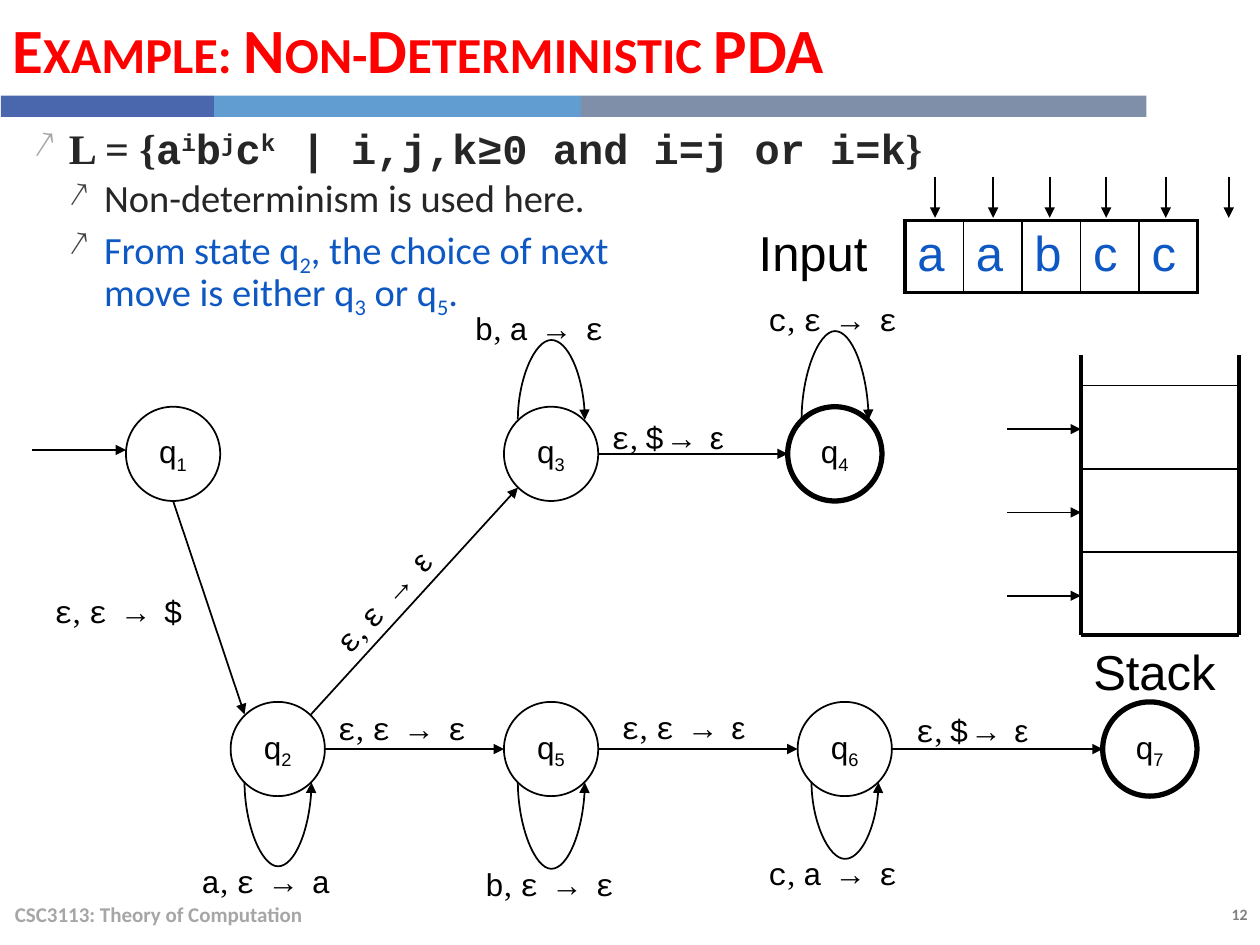
from dataclasses import dataclass
from typing import NamedTuple

from lxml import etree
from pptx import Presentation, util as u
from pptx.dml.color import RGBColor
from pptx.enum import shapes, text
from pptx.oxml import ns


@dataclass(frozen=True)
class Theme:
    sans: str = "Calibri"
    plain: str = "Arial"
    mono: str = "Courier New"
    serif: str = "Times New Roman"
    ink: str = "000000"
    body: str = "262626"
    sub_bullet: str = "404040"
    accent: str = "0E58C4"
    title: str = "FF0000"
    footer: str = "A6A6A6"
    number: str = "808080"
    bars: tuple = ("4A66AC", "629DD1", "7F8FA9")
    title_size: int = 36
    big_size: int = 28
    formula_size: int = 24
    point_size: int = 22
    label_size: int = 18
    footer_size: int = 12
    number_size: int = 9
    thin: float = 1
    thick: float = 2.25
    final: float = 3


THEME = Theme()
DIAMETER = 1.9
LOOP_SPAN = 1.35
LOOP_BASE = 0.01


class Span(NamedTuple):
    text: str
    font: str = THEME.sans
    base: int = 0


class State(NamedTuple):
    left: float
    top: float
    loop: float = 0
    final: bool = False


class Label(NamedTuple):
    left: float
    top: float
    read: str
    pop: str
    push: str
    push_font: str = THEME.mono
    turn: float = 0


class Point(NamedTuple):
    spans: list
    size: int
    color: str
    bullet: str
    level: int = 1
    bold: bool = False


UPPER, LOWER = 8.2, 14.15
STATES = {
    "1": State(2.54, UPPER),
    "2": State(4.65, LOWER, 1.7),
    "3": State(10.16, UPPER, -1.6),
    "4": State(15.88, UPPER, -1.78, True),
    "5": State(10.16, LOWER, 1.75),
    "6": State(16.08, LOWER, 1.55),
    "7": State(22.23, LOWER, final=True),
}
LABELS = [
    Label(0.84, 11.81, "ε", "ε", "$", THEME.plain),
    Label(6.12, 11.4, "ε", "ε", "ε", THEME.plain, 312.6),
    Label(6.55, 14.17, "ε", "ε", "ε"),
    Label(12.27, 14.15, "ε", "ε", "ε", THEME.plain),
    Label(18.21, 14.2, "ε", "$", "ε", THEME.plain),
    Label(12.07, 8.31, "ε", "$", "ε", THEME.plain),
    Label(3.81, 17.25, "a", "ε", "a"),
    Label(9.53, 17.32, "b", "ε", "ε"),
    Label(15.24, 17.09, "c", "a", "ε"),
    Label(9.32, 6.1, "b", "a", "ε"),
    Label(15.24, 5.92, "c", "ε", "ε"),
]
FORMULA = [Span("L = {", THEME.serif)]
for letter, power in zip("abc", "ijk"):
    FORMULA += [Span(letter, THEME.mono), Span(power, THEME.mono, 30)]
FORMULA += [Span(" | i,j,k≥0 and i=j or i=k", THEME.mono), Span("}", THEME.serif)]
CHOICE = [
    Span("From state q"), Span("2", base=-25), Span(", the choice of next"), Span("\n"),
    Span("move is either q"), Span("3", base=-25), Span(" or q"), Span("5", base=-25), Span("."),
]
POINTS = [
    Point(FORMULA, THEME.formula_size, THEME.body, THEME.footer, 0, True),
    Point([Span("Non-determinism is used here.")], THEME.point_size, THEME.body, THEME.sub_bullet),
    Point(CHOICE, THEME.point_size, THEME.accent, THEME.sub_bullet),
]


def add_child(parent, tag: str, **attributes):
    return etree.SubElement(parent, ns.qn(tag), attributes)


def write(para, spans: list, size: float, color: str, bold: bool = False) -> None:
    for item in spans:
        if item.text == "\n":
            para.add_line_break()
            continue
        span = para.add_run()
        span.text = item.text
        span.font.name, span.font.size, span.font.bold = item.font, u.Pt(size), bold
        span.font.color.rgb = RGBColor.from_string(color)
        if item.base:
            span._r.get_or_add_rPr().set("baseline", str(item.base * 1000))


def add_text(page, place: tuple, spans: list, size: float, color: str, bold: bool = False,
             middle: bool = False, grow: bool = False):
    box = page.shapes.add_textbox(*map(u.Cm, place))
    frame = box.text_frame
    frame.word_wrap = True
    if middle:
        frame.vertical_anchor = text.MSO_ANCHOR.MIDDLE
    if grow:
        frame.auto_size = text.MSO_AUTO_SIZE.SHAPE_TO_FIT_TEXT
    write(frame.paragraphs[0], spans, size, color, bold)
    return box


def add_line(page, start: tuple, end: tuple, arrow: bool = True, width: float = THEME.thin,
             kind=shapes.MSO_CONNECTOR.STRAIGHT):
    line = page.shapes.add_connector(kind, *map(u.Cm, (*start, *end)))
    line.line.color.rgb = RGBColor.from_string(THEME.ink)
    line.line.width = u.Pt(width)
    if arrow:
        add_child(line.line._get_or_add_ln(), "a:tailEnd", type="triangle")
    add_child(line._element.spPr, "a:effectLst")
    return line


def add_loop(page, state: State) -> None:
    above = state.loop < 0
    x = state.left + DIAMETER / 2
    y = state.top + (0.26 if above else DIAMETER - 0.28)
    upper, lower = y - LOOP_SPAN / 2, y + LOOP_SPAN / 2
    start, end = ((x, lower), (x + LOOP_BASE, upper)) if above else ((x + LOOP_BASE, upper), (x, lower))
    loop = add_line(page, start, end, kind=shapes.MSO_CONNECTOR.CURVE)
    properties = loop._element.spPr
    properties.find(ns.qn("a:xfrm")).set("rot", str((90 if above else 270) * 60000))
    guides = properties.find(ns.qn("a:prstGeom")).get_or_add_avLst()
    add_child(guides, "a:gd", name="adj1", fmla=f"val {round(state.loop / LOOP_BASE * 100000)}")


def add_state(page, name: str, state: State) -> None:
    circle = page.shapes.add_shape(
        shapes.MSO_SHAPE.OVAL, *map(u.Cm, (state.left, state.top, DIAMETER, DIAMETER)))
    circle.shadow.inherit = False
    circle.fill.background()
    circle.line.color.rgb = RGBColor.from_string(THEME.ink)
    circle.line.width = u.Pt(THEME.final if state.final else THEME.thin)
    frame = circle.text_frame
    frame.word_wrap = False
    frame.vertical_anchor = text.MSO_ANCHOR.MIDDLE
    para = frame.paragraphs[0]
    para.alignment = text.PP_ALIGN.CENTER
    write(para, [Span("q", THEME.plain), Span(name, THEME.plain, -25)], THEME.label_size, THEME.ink)
    if state.loop:
        add_loop(page, state)


def add_transition(page, source: str, target: str) -> None:
    first, second = STATES[source], STATES[target]
    y = first.top + DIAMETER / 2
    add_line(page, (first.left + DIAMETER, y), (second.left, y))


def add_label(page, label: Label) -> None:
    pop_font = THEME.plain if label.pop == "$" else THEME.mono
    spans = [Span(label.read, THEME.mono), Span(", ", THEME.serif), Span(label.pop + " ", pop_font),
             Span("→ ", THEME.mono), Span(label.push, label.push_font)]
    box = add_text(page, (label.left, label.top, 3.6, 1.02), spans, THEME.label_size, THEME.ink, grow=True)
    box.rotation = label.turn


def add_points(page) -> None:
    box = page.shapes.add_textbox(*map(u.Cm, (0.43, 2.54, 24.56, 4.14)))
    frame = box.text_frame
    frame.word_wrap = True
    for index, point in enumerate(POINTS):
        para = frame.add_paragraph() if index else frame.paragraphs[0]
        para.level = point.level
        para.line_spacing = 0.8
        if index:
            para.space_before = u.Pt(6)
        settings = para._p.get_or_add_pPr()
        settings.set("marL", str(u.Cm(0.71 * (point.level + 1))))
        settings.set("indent", str(-u.Cm(0.71)))
        add_child(add_child(settings, "a:buClr"), "a:srgbClr", val=point.bullet)
        add_child(settings, "a:buSzPct", val="90000")
        add_child(settings, "a:buChar", char="↗")
        write(para, point.spans, point.size, point.color, point.bold)


def add_border(cell, side: str, width: float) -> None:
    line = add_child(cell._tc.get_or_add_tcPr(), f"a:ln{side}", w=str(u.Pt(width)))
    add_child(add_child(line, "a:solidFill"), "a:srgbClr", val=THEME.ink)


def add_tape(page) -> None:
    words = ["Input", *"aabcc"]
    widths = [3.2] + [1.18] * 5
    table = page.shapes.add_table(1, len(words), *map(u.Cm, (15.04, 4.45, sum(widths), 1.45))).table
    table.first_row = table.horz_banding = False
    last = len(words) - 1
    for index, (word, width) in enumerate(zip(words, widths)):
        table.columns[index].width = u.Cm(width)
        cell = table.cell(0, index)
        if index:
            add_border(cell, "L", THEME.thick if index == 1 else THEME.thin)
        add_border(cell, "R", THEME.thick if index in (0, last) else THEME.thin)
        if index:
            add_border(cell, "T", THEME.thick)
            add_border(cell, "B", THEME.thick)
        cell.fill.background()
        write(cell.text_frame.paragraphs[0], [Span(word, THEME.plain)], THEME.big_size,
              THEME.accent if index else THEME.ink)
    for x in (18.85, 20.02, 21.16, 22.3, 23.5, 24.77):
        add_line(page, (x, 3.56), (x, 4.39))


def add_stack(page) -> None:
    left, right, top, first, step = 21.79, 24.97, 7.16, 7.77, 1.68
    bottom = first + 3 * step
    for row in range(3):
        y = first + row * step
        add_line(page, (left, y), (right, y), arrow=False)
        add_line(page, (20.3, y + 0.88), (left, y + 0.88))
    add_line(page, (left, bottom), (right, bottom), False, THEME.thick)
    for x in (left, right):
        add_line(page, (x, top), (x, bottom), False, THEME.thick)
    add_text(page, (left, bottom, 3.18, 1.68), [Span("Stack", THEME.plain)], THEME.big_size, THEME.ink)


def add_frame(page) -> None:
    left = 0.02
    for width, color in zip((4.3, 7.39, 11.4), THEME.bars):
        bar = page.shapes.add_shape(shapes.MSO_SHAPE.RECTANGLE, *map(u.Cm, (left, 1.93, width, 0.43)))
        bar.shadow.inherit = False
        bar.fill.solid()
        bar.fill.fore_color.rgb = RGBColor.from_string(color)
        bar.line.fill.background()
        left += width
    number = add_text(page, (22.17, 18.11, 3.23, 0.64), [Span("12")], THEME.number_size,
                      THEME.number, True, grow=True)
    number.text_frame.paragraphs[0].alignment = text.PP_ALIGN.RIGHT
    add_text(page, (0.05, 17.91, 17.02, 1.02), [Span("CSC3113: Theory of Computation")],
             THEME.footer_size, THEME.footer, True, middle=True)
    title = add_text(page, (0, 0, 23.11, 1.93), [Span("Example: Non-Deterministic PDA")],
                     THEME.title_size, THEME.title, True, middle=True)
    title.text_frame.paragraphs[0].runs[0]._r.get_or_add_rPr().set("cap", "small")


def main() -> None:
    deck = Presentation()
    deck.slide_width, deck.slide_height = u.Cm(25.4), u.Cm(19.05)
    page = deck.slides.add_slide(deck.slide_layouts[6])
    add_frame(page)
    add_points(page)
    for name, state in STATES.items():
        add_state(page, name, state)
    for source, target in ("25", "56", "67", "34"):
        add_transition(page, source, target)
    add_line(page, (0.64, 9.07), (2.54, 9.07))
    add_line(page, (3.49, 10.1), (4.93, 14.4))
    add_line(page, (6.27, 14.4), (10.44, 9.83))
    for label in LABELS:
        add_label(page, label)
    add_tape(page)
    add_stack(page)
    deck.save("out.pptx")


if __name__ == "__main__":
    main()
